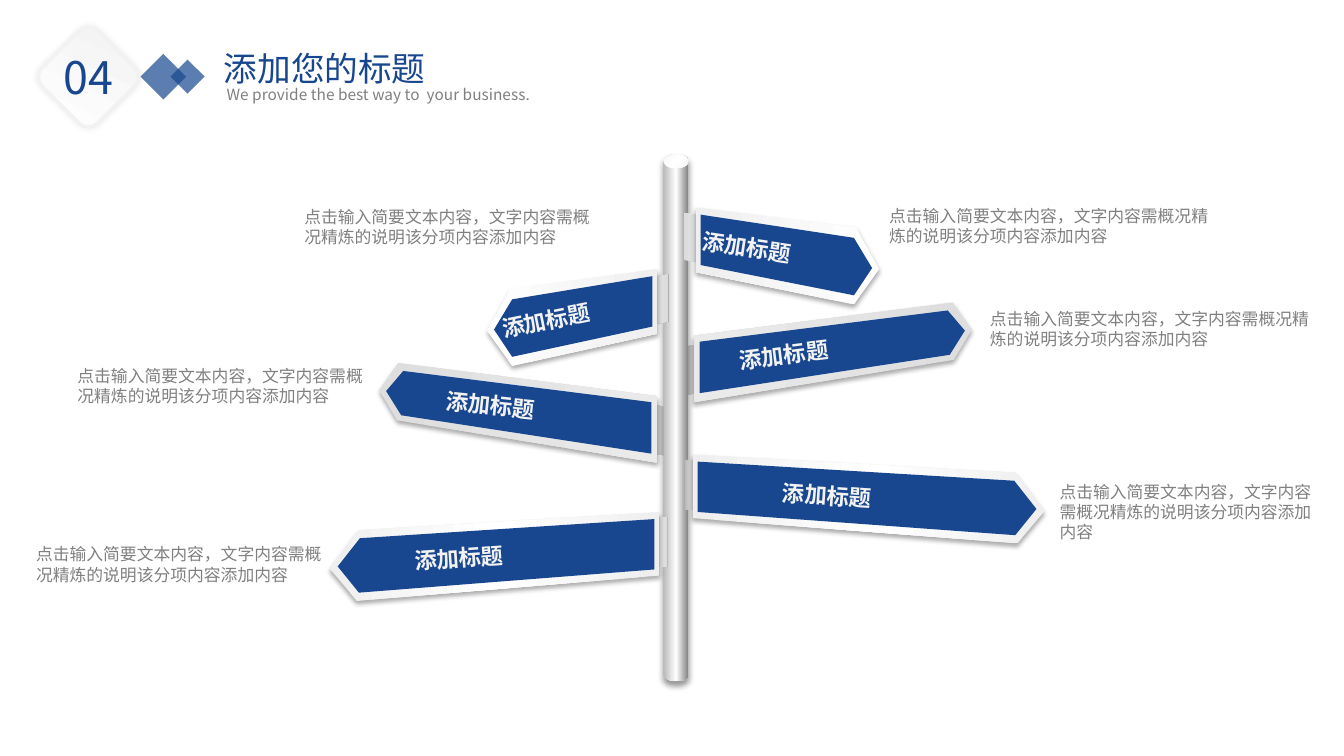
from dataclasses import dataclass

from lxml import etree
from pptx import Presentation
from pptx.dml.color import RGBColor
from pptx.enum.shapes import MSO_SHAPE
from pptx.enum.text import MSO_ANCHOR, MSO_AUTO_SIZE, PP_ALIGN
from pptx.oxml.ns import qn
from pptx.util import Inches, Pt

CAN, OVAL, SQUARE = MSO_SHAPE.CAN, MSO_SHAPE.OVAL, MSO_SHAPE.RECTANGLE
ROUNDED, BRACKET = MSO_SHAPE.ROUNDED_RECTANGLE, MSO_SHAPE.PARALLELOGRAM
LEFT, TOP, NO_FIT = PP_ALIGN.LEFT, MSO_ANCHOR.TOP, MSO_AUTO_SIZE.NONE

FONT = "Noto Sans CJK SC"
COLORS = {"blue": "18478F", "grey": "808080", "label": "F2F2F2", "shadow": "000000"}
LABEL = "添加标题"
NOTE = "点击输入简要文本内容，文字内容需概况精炼的说明该分项内容添加内容"


@dataclass
class Profile:
    """Outlines list (distance from tip, y); tails list (distance from tail, y)."""
    frame_tail: list
    frame_head: list
    face_tail: list
    face_head: list
    frame_stops: list
    bracket_y: float
    bracket_depth: float
    bracket_skew: float
    bracket_flips_on_right: bool


@dataclass
class Sign:
    profile: Profile
    points_right: bool
    box: tuple  # left, top, width
    bracket_stops: list
    label_box: tuple  # left and top within the sign, width
    label_angle: float
    note_box: tuple


SHORT = Profile([(0, 0), (0, 0.64)], [(0.25, 0.96), (0, 0.61), (0.23, 0.2)],
                [(0.05, 0.07), (0.05, 0.57)], [(0.25, 0.87), (0.07, 0.6), (0.25, 0.3)],
                [(0, "FFFFFF"), (100, "EFEFEF")], 0.3, 0.17, 0.19, False)
MEDIUM = Profile([(0, 0.33), (0, 0.99)], [(0.18, 0.57), (0, 0.27), (0.19, 0)],
                 [(0.06, 0.39), (0.06, 0.9)], [(0.22, 0.52), (0.07, 0.28), (0.24, 0.08)],
                 [(0, "DEDEDE"), (100, "EAEAEA")], 0.67, 0.08, 0.21, True)
LONG = Profile([(0, 0), (0, 0.63)], [(0.27, 0.88), (0, 0.56), (0.29, 0.18)],
               [(0.05, 0.07), (0.05, 0.57)], [(0.29, 0.8), (0.08, 0.54), (0.3, 0.26)],
               [(0, "EFEFEF"), (50, "FFFFFF"), (100, "EFEFEF")], 0.3, 0.11, 0.04, False)

PLAIN = [(0, "CBCBCB"), (100, "DDDDDD")]
SHADED = [(0, "999999"), (7, "DBDBDB"), (100, "EAEAEA")]
SIGNS_BEHIND = [
    Sign(MEDIUM, True, (6.88, 3, 2.76), PLAIN, (0.35, 0.3, 1.65), -7.2, (9.72, 3.01, 3.41, 0.5)),
    Sign(MEDIUM, False, (3.76, 3.6, 2.76), PLAIN, (0.56, 0.28, 1.98), 5.9, (0.67, 3.58, 3.07, 0.5)),
]
SIGNS_FRONT = [
    Sign(SHORT, False, (4.83, 2.67, 1.69), SHADED, (0.04, 0.27, 1.65), -11.3, (2.92, 2, 3.07, 0.5)),
    Sign(LONG, False, (3.27, 5.08, 3.27), SHADED, (0.74, 0.24, 1.96), -4, (0.26, 5.35, 3.07, 0.5)),
    Sign(LONG, True, (6.87, 4.51, 3.49), [(0, "9F9F9F"), (7, "B8B8B8"), (100, "EAEAEA")],
         (0.79, 0.26, 2.2), 3.8, (10.41, 4.73, 2.71, 0.71)),
    Sign(SHORT, True, (6.9, 2.06, 1.82), [(0, "DBDBDB"), (100, "EAEAEA")],
         (-0.04, 0.25, 1.65), 8.5, (8.72, 1.99, 3.41, 0.5)),
]


def paint_solid(shape, color, alpha=100):
    shape.fill.solid()
    shape.fill.fore_color.rgb = RGBColor.from_string(color)
    if alpha < 100:
        srgb = shape._element.spPr.find(f".//{qn('a:srgbClr')}")
        etree.SubElement(srgb, qn("a:alpha"), val=str(alpha * 1000))
    shape.line.fill.background()
    shape.shadow.inherit = False


def paint_gradient(shape, stops, angle):
    shape.fill.gradient()
    gradient = shape._element.spPr.find(qn("a:gradFill"))
    stop_list = gradient.find(qn("a:gsLst"))
    for stop in list(stop_list):
        stop_list.remove(stop)
    for position, color in stops:
        stop = etree.SubElement(stop_list, qn("a:gs"), pos=str(position * 1000))
        etree.SubElement(stop, qn("a:srgbClr"), val=color)
    gradient.find(qn("a:lin")).set("ang", str(angle * 60000))
    shape.line.fill.background()
    shape.shadow.inherit = False


def cast_shadow(shape, alpha, blur, distance):
    effects = shape._element.spPr.find(qn("a:effectLst"))
    outer = etree.SubElement(effects, qn("a:outerShdw"), blurRad=str(Pt(blur)),
                             dist=str(Pt(distance)), dir="5400000", algn="ctr", rotWithShape="0")
    color = etree.SubElement(outer, qn("a:srgbClr"), val=COLORS["shadow"])
    etree.SubElement(color, qn("a:alpha"), val=str(alpha * 1000))


def add_preset(slide, kind, box, angle=0):
    shape = slide.shapes.add_shape(kind, *map(Inches, box))
    shape.rotation = angle
    return shape


def write(shape, text, size, color, bold=False, wrap=True):
    frame = shape.text_frame
    frame.word_wrap = wrap
    frame.auto_size = NO_FIT
    frame.vertical_anchor = TOP
    frame.text = text
    frame.paragraphs[0].alignment = LEFT
    run = frame.paragraphs[0].runs[0]
    run.font.size = Pt(size)
    run.font.bold = bold
    run.font.color.rgb = RGBColor.from_string(COLORS[color])
    run.font.name = FONT
    etree.SubElement(run.font._element, qn("a:ea"), typeface=FONT)


def add_text(slide, box, text, size, color, angle=0, **style):
    text_box = slide.shapes.add_textbox(*map(Inches, box))
    text_box.rotation = angle
    write(text_box, text, size, color, **style)


def add_outline(slide, sign, tail, head):
    left, top, width = sign.box
    along = [(x, y) for x, y in tail] + [(width - x, y) for x, y in head]
    points = [(Inches(left + (x if sign.points_right else width - x)), Inches(top + y))
              for x, y in along]
    builder = slide.shapes.build_freeform(*points[0])
    builder.add_line_segments(points[1:], close=True)
    return builder.convert_to_shape()


def add_sign(slide, sign):
    """Place bracket, frame and face of one signboard."""
    profile = sign.profile
    left, top, width = sign.box
    center_x = left - 0.03 if sign.points_right else left + width + 0.03
    length, depth = 0.5, profile.bracket_depth
    bracket = add_preset(slide, BRACKET, (center_x - length / 2,
                                          top + profile.bracket_y - depth / 2, length, depth),
                         270 if sign.points_right else 90)
    bracket.adjustments[0] = profile.bracket_skew
    if sign.points_right == profile.bracket_flips_on_right:
        bracket._element.spPr.find(qn("a:xfrm")).set("flipH", "1")
    paint_gradient(bracket, sign.bracket_stops, 90)

    frame = add_outline(slide, sign, profile.frame_tail, profile.frame_head)
    paint_gradient(frame, profile.frame_stops, 180 if sign.points_right else 0)
    cast_shadow(frame, 32, 3.5, 2.2)
    face = add_outline(slide, sign, profile.face_tail, profile.face_head)
    paint_solid(face, COLORS["blue"])


def add_sign_texts(slide, sign):
    x, y, width = sign.label_box
    add_text(slide, (sign.box[0] + x, sign.box[1] + y, width, 0.37), LABEL, 16, "label",
             sign.label_angle, bold=True)
    add_text(slide, sign.note_box, NOTE, 12, "grey")


def add_pole(slide, left, top, width, height):
    pole = add_preset(slide, CAN, (left, top, width, height))
    pole.adjustments[0] = 0.55
    paint_gradient(pole, [(0, "B8B8B8"), (50, "FFFFFF"), (100, "808080")], 0)
    cast_shadow(pole, 40, 4, 3)
    cap = add_preset(slide, OVAL, (left, top, width, 0.14))
    paint_gradient(cap, [(0, "F6F6F6"), (50, "FFFFFF"), (100, "F6F6F6")], 45)


def add_header(slide, left, top):
    for x, y, side in ((0.97, 0.22, 0.32), (1.25, 0.26, 0.24)):
        diamond = add_preset(slide, SQUARE, (left + x, top + y, side, side), 225)
        paint_solid(diamond, COLORS["blue"], 70)
    add_text(slide, (left + 1.66, top + 0.41, 4.02, 0.29),
             "We provide the best way to  your business.", 11, "grey")
    title = slide.shapes.title
    title.left, title.top = Inches(left + 1.63), Inches(top + 0.05)
    title.width, title.height = Inches(3.25), Inches(0.5)
    write(title, "添加您的标题", 24, "blue")

    badge = add_preset(slide, ROUNDED, (left, top, 0.77, 0.77), 45)
    paint_gradient(badge, [(0, "FFFFFF"), (100, "F2F2F2")], 250)
    badge.line.color.rgb = RGBColor.from_string(COLORS["label"])
    badge.line.width = Pt(2)
    cast_shadow(badge, 11, 5, 0)
    add_text(slide, (left + 0.04, top + 0.06, 0.73, 0.64), "04", 32, "blue", wrap=False)


def main():
    deck = Presentation()
    deck.slide_width, deck.slide_height = Inches(13.33), Inches(7.5)
    slide = deck.slides.add_slide(deck.slide_layouts[5])
    for sign in SIGNS_BEHIND:
        add_sign(slide, sign)
    add_pole(slide, 6.58, 1.53, 0.25, 5.23)
    for sign in SIGNS_FRONT:
        add_sign(slide, sign)
    for sign in SIGNS_BEHIND + SIGNS_FRONT:
        add_sign_texts(slide, sign)
    add_header(slide, 0.49, 0.38)
    deck.save("out.pptx")


if __name__ == "__main__":
    main()
